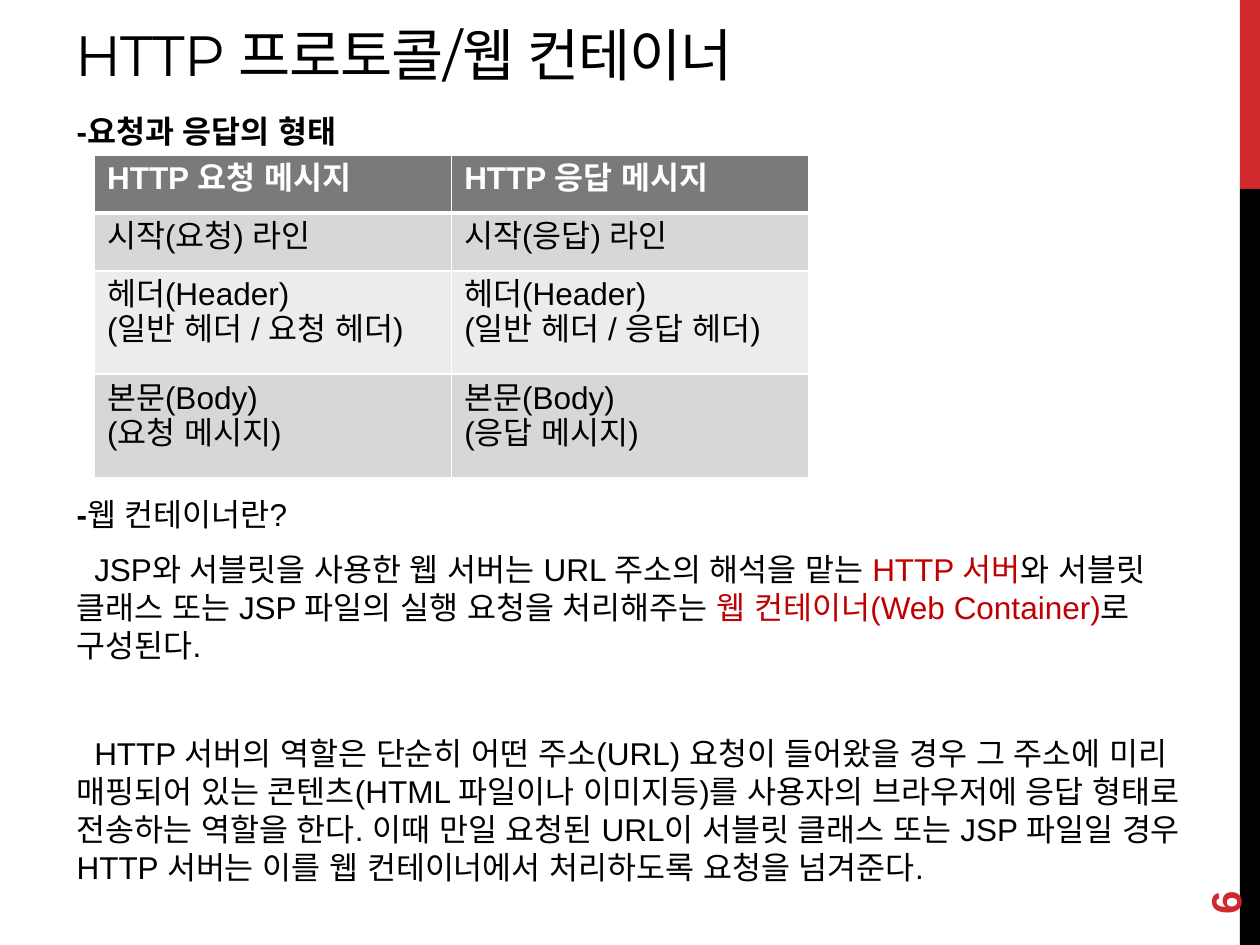
from lxml import etree
from pptx import Presentation
from pptx.dml.color import RGBColor
from pptx.enum import shapes, text
from pptx.oxml.ns import qn
from pptx.util import Inches, Pt

RED = RGBColor(0xD1, 0x28, 0x2E)
DARK_RED = RGBColor(0xC0, 0x00, 0x00)
BLACK = RGBColor(0x00, 0x00, 0x00)
WHITE = RGBColor(0xFF, 0xFF, 0xFF)
HEADER_GRAY = RGBColor(0x7A, 0x7A, 0x7A)
BAND_GRAYS = (RGBColor(0xEC, 0xEC, 0xEC), RGBColor(0xD7, 0xD7, 0xD7))

MESSAGE_ROWS = [
    ("HTTP 요청 메시지", "HTTP 응답 메시지"),
    ("시작(요청) 라인", "시작(응답) 라인"),
    ("헤더(Header)\n(일반 헤더 / 요청 헤더)", "헤더(Header)\n(일반 헤더 / 응답 헤더)"),
    ("본문(Body)\n(요청 메시지)", "본문(Body)\n(응답 메시지)"),
]
ROW_HEIGHTS = (0.46, 0.46, 0.82, 0.82)

# Each paragraph: space before in points, first-line indent in inches, runs
BODY = [
    (0, 0, [("-요청과 응답의 형태", {"bold": True})]),
    (191.5, 0, [("-", {"bold": True}), ("웹 컨테이너란?", {})]),
    (3.6, 0.14, [
        ("JSP와 서블릿을 사용한 웹 서버는 URL 주소의 해석을 맡는 ", {}),
        ("HTTP 서버", {"color": DARK_RED}),
        ("와 서블릿 클래스 또는 JSP 파일의 실행 요청을 처리해주는 ", {}),
        ("웹 컨테이너(Web Container)", {"color": DARK_RED}),
        ("로 구성된다.", {}),
    ]),
    (34.4, 0.14, [
        ("HTTP 서버의 역할은 단순히 어떤 주소(URL) 요청이 들어왔을 경우 그 주소에 미리 "
         "매핑되어 있는 콘텐츠(HTML 파일이나 이미지등)를 사용자의 브라우저에 응답 형태로 "
         "전송하는 역할을 한다. 이때 만일 요청된 URL이 서블릿 클래스 또는 JSP 파일일 경우 "
         "HTTP 서버는 이를 웹 컨테이너에서 처리하도록 요청을 넘겨준다.", {}),
    ]),
]


def add_run(paragraph, content, size=18, font="Arial", color=BLACK, bold=False):
    """Add a run whose Latin and Korean letters and spaces share one font."""
    run = paragraph.add_run()
    run.text = content
    run.font.size = Pt(size)
    run.font.name = font
    run.font.color.rgb = color
    run.font.bold = bold
    properties = run.font._element
    properties.set("lang", "ko-KR")
    east_asian = etree.Element(qn("a:ea"), typeface=font)
    properties.find(qn("a:latin")).addnext(east_asian)
    return run


def add_bar(slide, top, height, color):
    bar = slide.shapes.add_shape(shapes.MSO_SHAPE.RECTANGLE, Inches(9.84),
                                 Inches(top), Inches(0.16), Inches(height))
    bar.shadow.inherit = False
    bar.fill.solid()
    bar.fill.fore_color.rgb = color
    bar.line.fill.background()


def set_title(slide, content):
    title = slide.shapes.title
    title.left, title.top = Inches(0.5), Inches(0.16)
    title.width, title.height = Inches(6.07), Inches(0.59)
    frame = title.text_frame
    frame.auto_size = text.MSO_AUTO_SIZE.NONE
    frame.vertical_anchor = text.MSO_ANCHOR.BOTTOM
    paragraph = frame.paragraphs[0]
    paragraph.alignment = text.PP_ALIGN.LEFT
    run = add_run(paragraph, content, size=32.4, font="Montserrat")
    run.font._element.set("spc", "-60")


def add_body(slide):
    box = slide.shapes.add_textbox(Inches(0.51), Inches(0.84),
                                   Inches(9.06), Inches(6.46))
    frame = box.text_frame
    frame.word_wrap = True
    for index, (space_before, indent, runs) in enumerate(BODY):
        paragraph = frame.add_paragraph() if index else frame.paragraphs[0]
        paragraph.space_before = Pt(space_before)
        paragraph.space_after = Pt(6)
        paragraph._p.get_or_add_pPr().set("indent", str(Inches(indent)))
        for content, style in runs:
            add_run(paragraph, content, **style)


def set_borders(cell, top, bottom):
    """Draw white cell borders; top and bottom are widths in points."""
    properties = cell._tc.get_or_add_tcPr()
    widths = {"a:lnL": 1, "a:lnR": 1, "a:lnT": top, "a:lnB": bottom}
    for position, (tag, width) in enumerate(widths.items()):
        line = etree.Element(qn(tag), w=str(Pt(width)))
        fill = etree.SubElement(line, qn("a:solidFill"))
        etree.SubElement(fill, qn("a:srgbClr"), val=str(WHITE))
        properties.insert(position, line)


def add_message_table(slide):
    frame = slide.shapes.add_table(len(MESSAGE_ROWS), 2, Inches(0.75), Inches(1.23),
                                   Inches(5.67), Inches(sum(ROW_HEIGHTS)))
    table = frame.table
    for row_index, row in enumerate(MESSAGE_ROWS):
        table.rows[row_index].height = Inches(ROW_HEIGHTS[row_index])
        is_header = row_index == 0
        for column_index, content in enumerate(row):
            cell = table.cell(row_index, column_index)
            cell.fill.solid()
            cell.fill.fore_color.rgb = HEADER_GRAY if is_header else BAND_GRAYS[row_index % 2]
            set_borders(cell, top=3 if row_index == 1 else 1, bottom=3 if is_header else 1)
            cell_text = cell.text_frame
            for line_index, line in enumerate(content.split("\n")):
                paragraph = cell_text.add_paragraph() if line_index else cell_text.paragraphs[0]
                add_run(paragraph, line, color=WHITE if is_header else BLACK, bold=is_header)


def add_page_number(slide, number):
    box = slide.shapes.add_textbox(Inches(9), Inches(6.44), Inches(1.44), Inches(0.4))
    box.rotation = 270
    frame = box.text_frame
    frame.word_wrap = True
    frame.vertical_anchor = text.MSO_ANCHOR.MIDDLE
    add_run(frame.paragraphs[0], number, size=24, color=RED, bold=True)


def main():
    presentation = Presentation()
    presentation.slide_width, presentation.slide_height = Inches(10), Inches(7.5)
    slide = presentation.slides.add_slide(presentation.slide_layouts[5])
    add_bar(slide, 0, 1.5, RED)
    add_bar(slide, 1.5, 6, BLACK)
    set_title(slide, "HTTP 프로토콜/웹 컨테이너")
    add_body(slide)
    add_page_number(slide, "6")
    add_message_table(slide)
    presentation.save("out.pptx")


if __name__ == "__main__":
    main()
